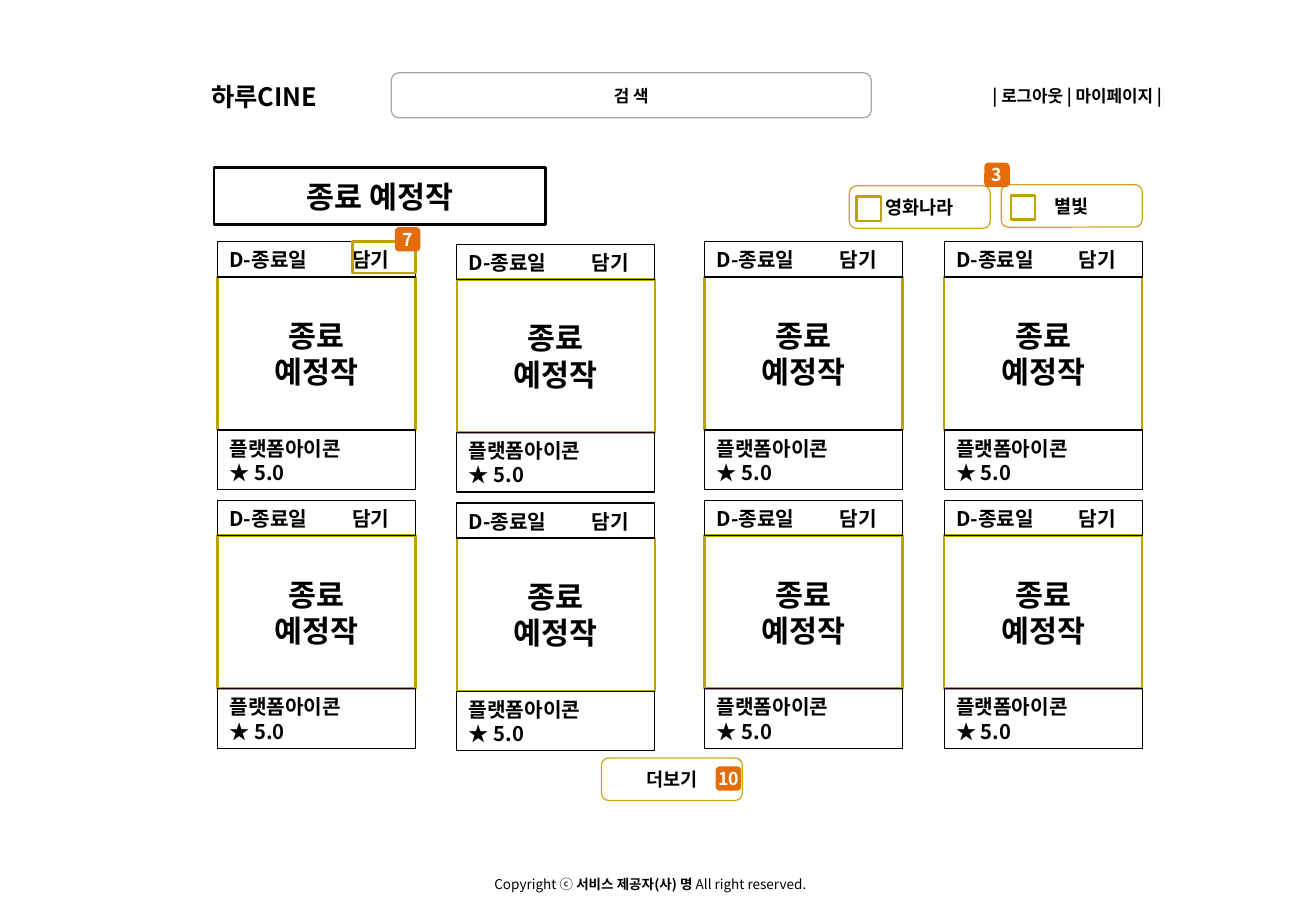
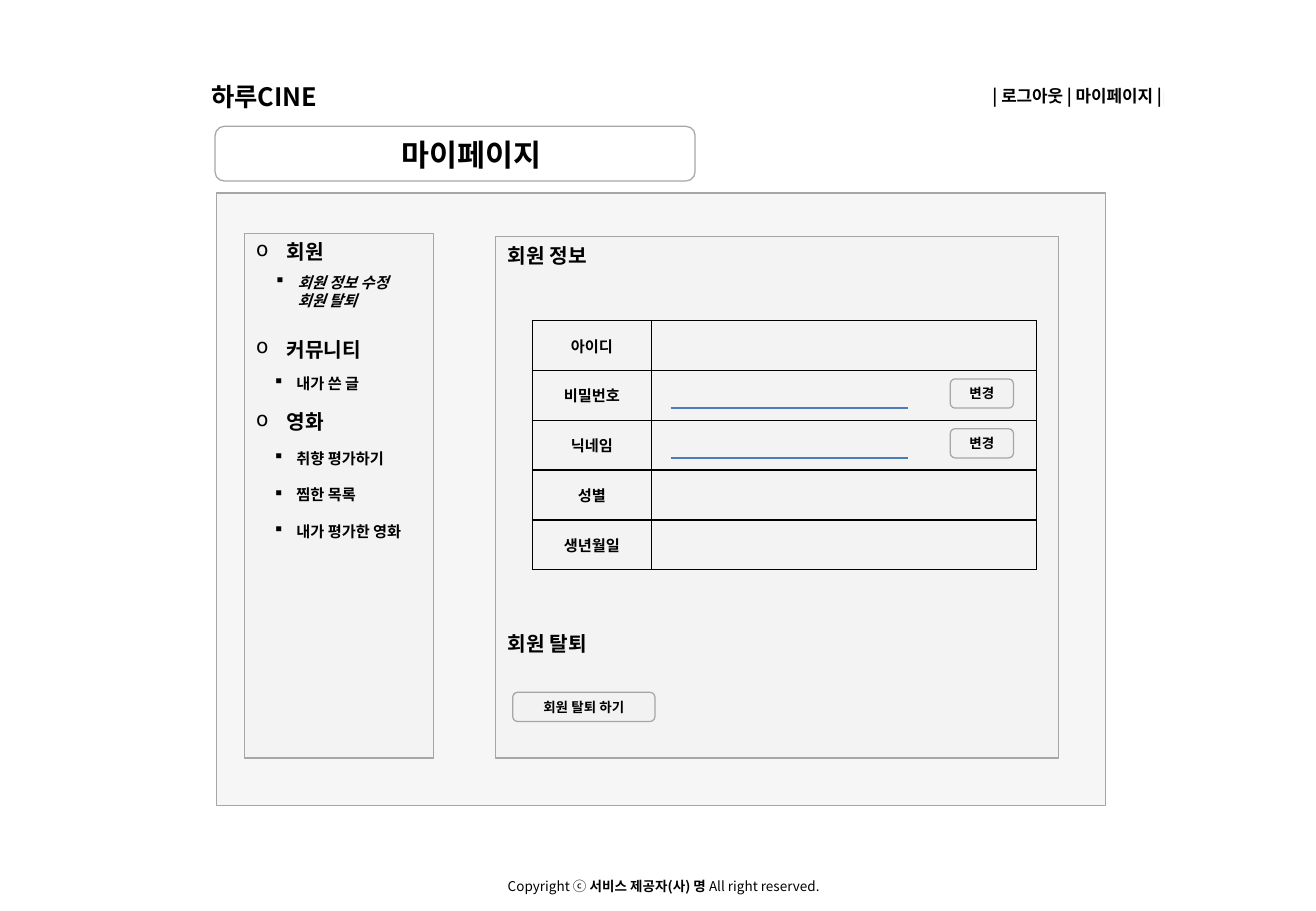
from lxml import etree
from pptx import Presentation
from pptx import util as u
from pptx.dml import color as col
from pptx.enum import shapes as es, text as et
from pptx.oxml import ns

HUE = {"ink": "000000", "white": "FFFFFF", "gold": "BFA100", "amber": "CEA61D",
       "tag": "E46C0A", "grey": "A6A6A6", "pale": "F2F2F2", "blue": "4A7EBB",
       "cream": "FAF3DB"}
FACE = "Noto Sans CJK KR"
RECT = es.MSO_SHAPE.RECTANGLE
ROUND = es.MSO_SHAPE.ROUNDED_RECTANGLE
MID = et.MSO_ANCHOR.MIDDLE
TOP = et.MSO_ANCHOR.TOP
LEFT, CENTER, RIGHT = et.PP_ALIGN.LEFT, et.PP_ALIGN.CENTER, et.PP_ALIGN.RIGHT


def rgb(name):
    return col.RGBColor.from_string(HUE[name])


def sub(root, tag, **attrs):
    return etree.SubElement(root, ns.qn(tag), attrs)


def style(para, size, bold=True, hue="ink", align=LEFT):
    para.alignment = align
    font = para.font
    font.size, font.bold, font.name = u.Pt(size), bold, FACE
    font.color.rgb = rgb(hue)
    sub(font._element, "a:ea", typeface=FACE)


def write(frame, lines, size, hue="ink", align=LEFT, anchor=TOP, gaps=()):
    frame.word_wrap = True
    frame.vertical_anchor = anchor
    for i, line in enumerate(lines):
        para = frame.paragraphs[0] if i == 0 else frame.add_paragraph()
        para.text = line
        style(para, size, hue=hue, align=align)
        if i and gaps:
            para.space_before = u.Pt(gaps[i - 1])
    return frame.paragraphs


def bullet(para, mark, indent):
    props = para._p.get_or_add_pPr()
    step = u.Inches(indent)
    props.set("marL", str(step))
    props.set("indent", str(-step))
    char = etree.Element(ns.qn("a:buChar"), {"char": mark})
    para.font._element.addprevious(char)


def tab(para, pos):
    stops = etree.Element(ns.qn("a:tabLst"))
    sub(stops, "a:tab", pos=str(u.Inches(pos)), algn="l")
    para.font._element.addprevious(stops)


def label(slide, box, lines, size, **kw):
    frame = slide.shapes.add_textbox(*map(u.Inches, box)).text_frame
    return write(frame, lines, size, **kw)


def block(slide, box, kind=RECT, fill=None, line=None, width=0.75, alpha=None):
    shape = slide.shapes.add_shape(kind, *map(u.Inches, box))
    shape.shadow.inherit = False
    if fill:
        shape.fill.solid()
        shape.fill.fore_color.rgb = rgb(fill)
    else:
        shape.fill.background()
    if alpha:
        tint = shape._element.spPr.find(ns.qn("a:solidFill"))[0]
        sub(tint, "a:alpha", val=str(alpha * 1000))
    if line:
        shape.line.color.rgb = rgb(line)
        shape.line.width = u.Pt(width)
    else:
        shape.line.fill.background()
    return shape


def panel(slide, box, kind=RECT):
    return block(slide, box, kind, "pale", "grey", alpha=69)


def button(slide, box, words):
    shape = panel(slide, box, ROUND)
    write(shape.text_frame, [words], 8, align=CENTER, anchor=MID)


def pill(slide, x, y, words):
    shape = block(slide, (x, y, 1.16, 0.35), ROUND, line="amber", width=0)
    write(shape.text_frame, [words], 11, align=CENTER, anchor=MID)


def badge(slide, x, y, words):
    shape = block(slide, (x, y, 0.21, 0.2), ROUND, "tag")
    frame = shape.text_frame
    frame.margin_left = frame.margin_right = 0
    write(frame, [words], 10.5, hue="white", align=CENTER, anchor=MID)
    frame.word_wrap = False


def check(slide, x, y):
    block(slide, (x, y, 0.2, 0.2), fill="white", line="gold", width=1.5)


def header(slide):
    label(slide, (1.64, 0.62, 1.2, 0.35), ["하루CINE"], 15)
    para = label(slide, (7.59, 0.66, 2.1, 0.26),
                 ["| 로그아웃 | 마이페이지 |"], 10, align=RIGHT)[0]
    run = para.add_run()
    run.text = "|"
    run.font.size, run.font.bold = u.Pt(8), False
    run.font.color.rgb = rgb("cream")


def footer(slide, x, y):
    para = label(slide, (x, y, 2.89, 0.24), ["Copyright ⓒ "], 8)[0]
    para.font.bold = False
    for words, bold in (("서비스 제공자(사) 명", True), (" All right reserved.", False)):
        run = para.add_run()
        run.text, run.font.bold = words, bold


def card(slide, x, y):
    wide, head, body, foot = 1.63, 0.29, 1.26, 0.49
    shape = block(slide, (x, y + head, wide, body), fill="white", line="gold", width=1.5)
    write(shape.text_frame, ["종료", "예정작"], 18, align=CENTER, anchor=MID)
    shape = block(slide, (x, y + head + body, wide, foot), line="ink")
    write(shape.text_frame, ["플랫폼아이콘", "★ 5.0"], 12)
    shape = block(slide, (x, y, wide, head), line="ink")
    tab(write(shape.text_frame, ["D-종료일\t담기"], 12)[0], 1.01)


def cards(slide):
    for y in (1.99, 4.12):
        for x, drop in ((1.79, 0), (3.76, 0.02), (5.8, 0), (7.77, 0)):
            card(slide, x, y + drop)
    block(slide, (2.9, 1.99, 0.52, 0.26), line="gold", width=1.5)
    badge(slide, 3.25, 1.87, "7")


def filters(slide):
    pill(slide, 6.99, 1.53, "영화나라")
    pill(slide, 8.24, 1.52, "별빛")
    check(slide, 7.05, 1.62)
    check(slide, 8.32, 1.61)
    badge(slide, 8.1, 1.34, "3")


def ending(slide):
    footer(slide, 3.97, 7.16)
    header(slide)
    shape = block(slide, (3.22, 0.6, 3.95, 0.37), ROUND, line="grey")
    write(shape.text_frame, ["검 색"], 10, align=CENTER, anchor=MID)
    shape = block(slide, (1.76, 1.38, 2.73, 0.47), fill="white", line="ink", width=1.5)
    write(shape.text_frame, ["종료 예정작"], 18, align=CENTER, anchor=MID)
    filters(slide)
    cards(slide)
    pill(slide, 4.95, 6.24, "더보기")
    badge(slide, 5.89, 6.31, "10")


def menu(slide, x, y):
    frame = panel(slide, (x, y, 1.56, 4.32)).text_frame
    for para in write(frame, ["회원", "커뮤니티", "영화"], 12, gaps=(43.5, 28.5)):
        bullet(para, "o", 0.25)
    for dx, dy, items in ((0.15, 0.28, ["회원 정보 수정\v회원 탈퇴"]),
                          (0.14, 1.11, ["내가 쓴 글"]),
                          (0.14, 1.73, ["취향 평가하기", "찜한 목록", "내가 평가한 영화"])):
        paras = label(slide, (x + dx, y + dy, 1.42, 0.24), items, 9, gaps=(10.8, 10.8))
        for para in paras:
            bullet(para, "▪", 0.19)
            para.font.italic = "\v" in items[0]


def edge(cell):
    props = cell._tc.get_or_add_tcPr()
    for i, side in enumerate(("lnL", "lnR", "lnT", "lnB")):
        line = etree.Element(ns.qn("a:" + side), {"w": str(u.Pt(1))})
        sub(sub(line, "a:solidFill"), "a:srgbClr", val=HUE["ink"])
        props.insert(i, line)


def grid(slide, x, y):
    names = ["아이디", "비밀번호", "닉네임", "성별", "생년월일"]
    wide, high = (0.98, 3.17), 0.41
    table = slide.shapes.add_table(len(names), 2, u.Inches(x), u.Inches(y),
                                   u.Inches(sum(wide)), u.Inches(high * len(names))).table
    table.first_row = table.horz_banding = False
    for column, size in zip(table.columns, wide):
        column.width = u.Inches(size)
    for row, name in zip(table.rows, names):
        row.height = u.Inches(high)
        for cell, words in zip(row.cells, (name, "")):
            cell.fill.background()
            cell.vertical_anchor = MID
            cell.text = words
            style(cell.text_frame.paragraphs[0], 9, align=CENTER)
            edge(cell)
    for i in (1, 2):
        top = y + high * i
        rule(slide, x + 1.14, x + 3.09, top + 0.31)
        button(slide, (x + 3.44, top + 0.07, 0.52, 0.24), "변경")


def rule(slide, left, right, y):
    line = slide.shapes.add_connector(es.MSO_CONNECTOR.STRAIGHT,
                                      *map(u.Inches, (left, y, right, y)))
    line.line.color.rgb = rgb("blue")
    line.line.width = u.Pt(0.75)
    sub(line._element.spPr, "a:effectLst")


def info(slide, x, y):
    frame = panel(slide, (x, y, 4.63, 4.29)).text_frame
    write(frame, ["회원 정보", "회원 탈퇴"], 12, gaps=(216,))
    grid(slide, x + 0.3, y + 0.69)
    button(slide, (x + 0.14, y + 3.75, 1.17, 0.24), "회원 탈퇴 하기")


def account(slide):
    footer(slide, 4.08, 7.18)
    header(slide)
    block(slide, (1.77, 1.04, 3.95, 0.45), ROUND, line="grey")
    label(slide, (2.76, 1.07, 2.24, 0.4), ["마이페이지"], 18, align=CENTER)
    panel(slide, (1.78, 1.59, 7.32, 5.04))
    menu(slide, 2.01, 1.92)
    info(slide, 4.08, 1.95)


def main():
    deck = Presentation()
    deck.slide_width, deck.slide_height = u.Inches(10.83), u.Inches(7.5)
    for build in (ending, account):
        build(deck.slides.add_slide(deck.slide_layouts[6]))
    deck.save("out.pptx")


if __name__ == "__main__":
    main()
